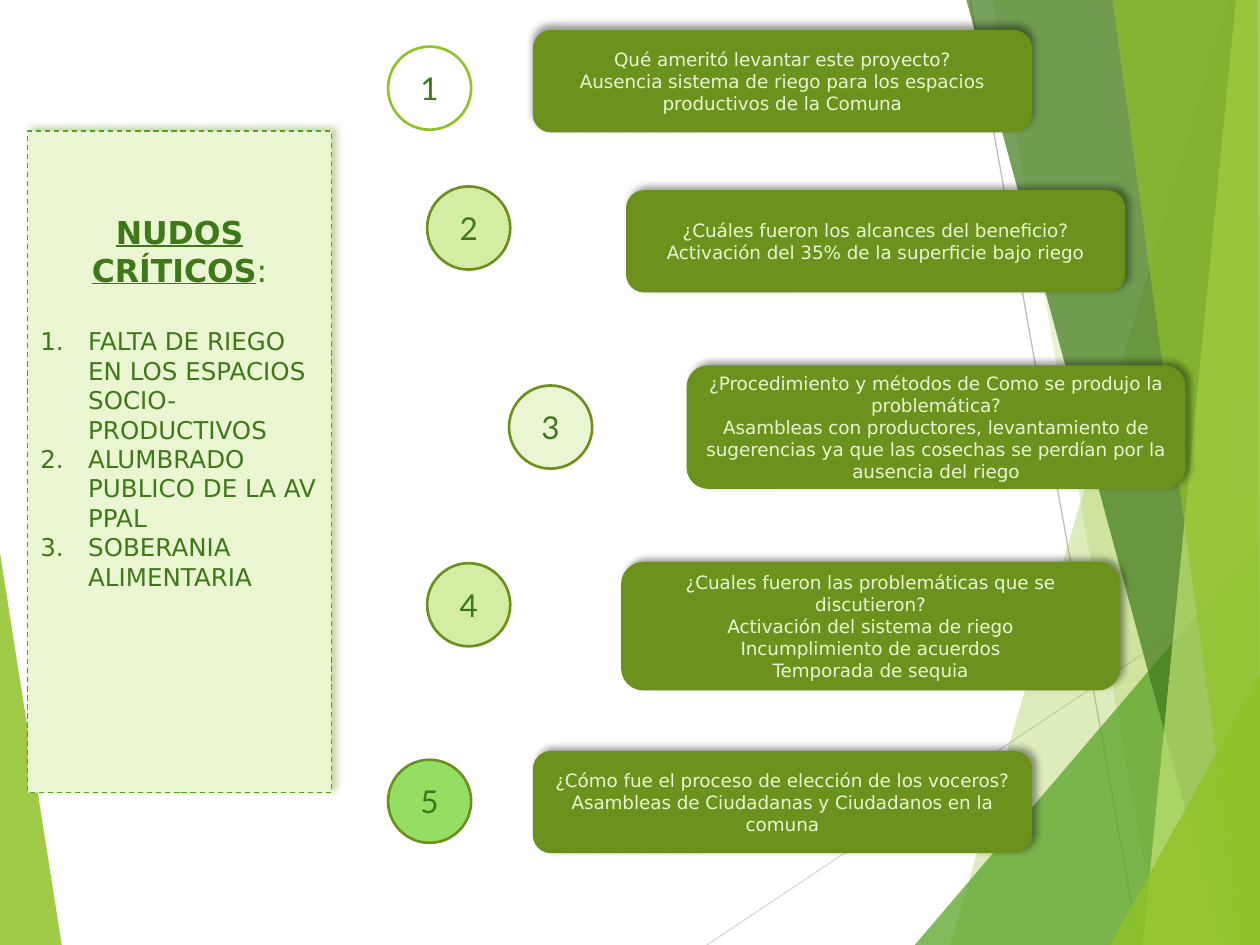
from lxml.etree import SubElement as Sub
from pptx import Presentation
from pptx.dml.color import RGBColor
from pptx.enum.dml import MSO_LINE as Dash
from pptx.enum.shapes import MSO_CONNECTOR as Link, MSO_SHAPE as Kind
from pptx.enum.text import MSO_ANCHOR as Anchor, MSO_AUTO_SIZE as Fit, PP_ALIGN as Align
from pptx.oxml.ns import qn
from pptx.util import Inches, Pt

deck = Presentation()
deck.slide_width, deck.slide_height = Inches(10), Inches(7.5)
slide = deck.slides.add_slide(deck.slide_layouts[1])
shapes = slide.shapes
unit = deck.slide_width // 1000  # the grid: 1000 columns by 750 rows


def paint(shape, fill, line=None, width=1.5, alpha=100, glow=None):
    """Fill, outline and shadow; glow is (colour, angle in degrees)."""
    shape.fill.solid()
    shape.fill.fore_color.rgb = RGBColor.from_string(fill)
    if alpha < 100:
        tint = shape.element.spPr.find(qn("a:solidFill"))[0]
        Sub(tint, qn("a:alpha"), val=str(alpha * 1000))
    if line:
        shape.line.color.rgb = RGBColor.from_string(line)
        shape.line.width = Pt(width)
    else:
        shape.line.fill.background()
    shape.shadow.inherit = False
    if glow:
        effects = shape.element.spPr.find(qn("a:effectLst"))
        shade = Sub(effects, qn("a:outerShdw"), blurRad=str(Pt(4)), dist=str(Pt(3)),
                    dir=str(glow[1] * 60000), algn="tl", rotWithShape="0")
        tint = Sub(shade, qn("a:srgbClr"), val=glow[0])
        Sub(tint, qn("a:alpha"), val="40000")


def write(shape, lines, size, color, name="DejaVu Sans", align=Align.CENTER,
          anchor=Anchor.MIDDLE, number=False, **pads):
    """Set one paragraph per line, numbered on request."""
    frame = shape.text_frame
    frame.text = "\n".join(lines)
    look = dict(word_wrap=True, auto_size=Fit.NONE, vertical_anchor=anchor) | pads
    for key, value in look.items():
        setattr(frame, key, value)
    for para in frame.paragraphs:
        if number:
            props = para._p.get_or_add_pPr()
            props.set("marL", str(Inches(0.38)))
            props.set("indent", str(-Inches(0.38)))
            Sub(props, qn("a:buFont"), typeface="+mj-lt")
            Sub(props, qn("a:buAutoNum"), type="arabicPeriod")
        para.alignment, para.space_before = align, Pt(0)
        for run in para.runs:
            font = run.font
            font.size, font.name = Pt(size), name
            font.color.rgb = RGBColor.from_string(color)


# Backdrop: two thin lines, then see-through facets
for ends, color in [((561, 750, 1000, 457), "D9D9D9"), ((770, 0, 904, 750), "BFBFBF")]:
    ray = shapes.add_connector(Link.STRAIGHT, *(n * unit for n in ends))
    ray.line.color.rgb = RGBColor.from_string(color)
    ray.line.width = Pt(0.75)
    Sub(ray.element.spPr, qn("a:effectLst"))

facets = [
    ("90C226", 85, [(0, 439), (49, 750), (0, 750)]),
    ("90C226", 30, [(975, 0), (754, 750), (1000, 750), (1000, 0)]),
    ("90C226", 20, [(788, 0), (919, 750), (1000, 750), (1000, 0)]),
    ("54A021", 72, [(726, 750), (1000, 429), (1000, 750)]),
    ("3F7819", 70, [(767, 0), (970, 750), (1000, 750), (1000, 0)]),
    ("C0E474", 70, [(981, 0), (907, 750), (1000, 750), (1000, 0)]),
    ("90C226", 65, [(883, 0), (986, 750), (1000, 750), (998, 0)]),
    ("90C226", 80, [(881, 750), (1000, 535), (1000, 750)]),
]
for color, alpha, (start, *rest) in facets:
    pen = shapes.build_freeform(*start, scale=unit)
    pen.add_line_segments(rest, close=True)
    paint(pen.convert_to_shape(), color, alpha=alpha)

# Left panel: the numbered list, with the title laid over it
title, panel = shapes.title, slide.placeholders[1]
places = [(panel, (22, 104, 241, 525)), (title, (22, 169, 241, 60))]
for holder, place in places:
    for key, value in zip(("left", "top", "width", "height"), place):
        setattr(holder, key, value * unit)
    shapes.element.append(holder.element)  # in front of the backdrop

paint(panel, "EAF6D1", "54A021", 0.75, glow=("6C921D", 315))
panel.line.dash_style = Dash.DASH
write(panel, ["FALTA DE RIEGO EN LOS ESPACIOS SOCIO-PRODUCTIVOS",
              "ALUMBRADO PUBLICO DE LA AV PPAL", "SOBERANIA ALIMENTARIA"],
      14, "3F7819", align=Align.LEFT, anchor=Anchor.TOP, number=True,
      margin_top=Inches(1.55))

write(title, ["NUDOS CRÍTICOS"], 18, "3F7819", margin_top=0, margin_bottom=0)
para = title.text_frame.paragraphs[0]
para.runs[0].font.bold = para.runs[0].font.underline = True
colon = para.add_run()
colon.text = ":"
for key, value in dict(size=Pt(18), name="DejaVu Sans", bold=False, underline=False).items():
    setattr(colon.font, key, value)
colon.font.color.rgb = RGBColor.from_string("3F7819")

# Numbered discs: left, top, fill, line
discs = [
    (308, 37, "FFFFFF", "90C226"),
    (339, 148, "D5EDA2", "6B901C"),
    (404, 306, "EAF6D1", "6B901C"),
    (339, 447, "D5EDA2", "6B901C"),
    (308, 603, "94DE61", "6B901C"),
]
for step, (left, top, fill, line) in enumerate(discs, 1):
    disc = shapes.add_shape(Kind.OVAL, left * unit, top * unit, 66 * unit, 66 * unit)
    paint(disc, fill, line)
    write(disc, [str(step)], 18, "3F7819", "Lato")

# Question cards: left, top, height, shadow angle, lines
cards = [
    (424, 25, 79, 270, ["Qué ameritó levantar este proyecto?",
                        "Ausencia sistema de riego para los espacios productivos de la Comuna"]),
    (498, 152, 79, 315, ["¿Cuáles fueron los alcances del beneficio?",
                         "Activación del 35% de la superficie bajo riego"]),
    (546, 291, 96, 315, ["¿Procedimiento y métodos de Como se produjo la problemática?",
                         "Asambleas con productores, levantamiento de sugerencias ya que "
                         "las cosechas se perdían por la ausencia del riego"]),
    (494, 447, 100, 315, ["¿Cuales fueron las problemáticas que se discutieron?",
                          "Activación del sistema de riego", "Incumplimiento de acuerdos",
                          "Temporada de sequia"]),
    (424, 597, 79, 315, ["¿Cómo fue el proceso de elección de los voceros?",
                         "Asambleas de Ciudadanas y Ciudadanos en la comuna"]),
]
for left, top, height, angle, lines in cards:
    card = shapes.add_shape(Kind.ROUNDED_RECTANGLE, left * unit, top * unit,
                            394 * unit, height * unit)
    paint(card, "6C921D", "6B901C", glow=("000000", angle))
    write(card, lines, 10.5, "EAF6D1")

deck.save("out.pptx")
